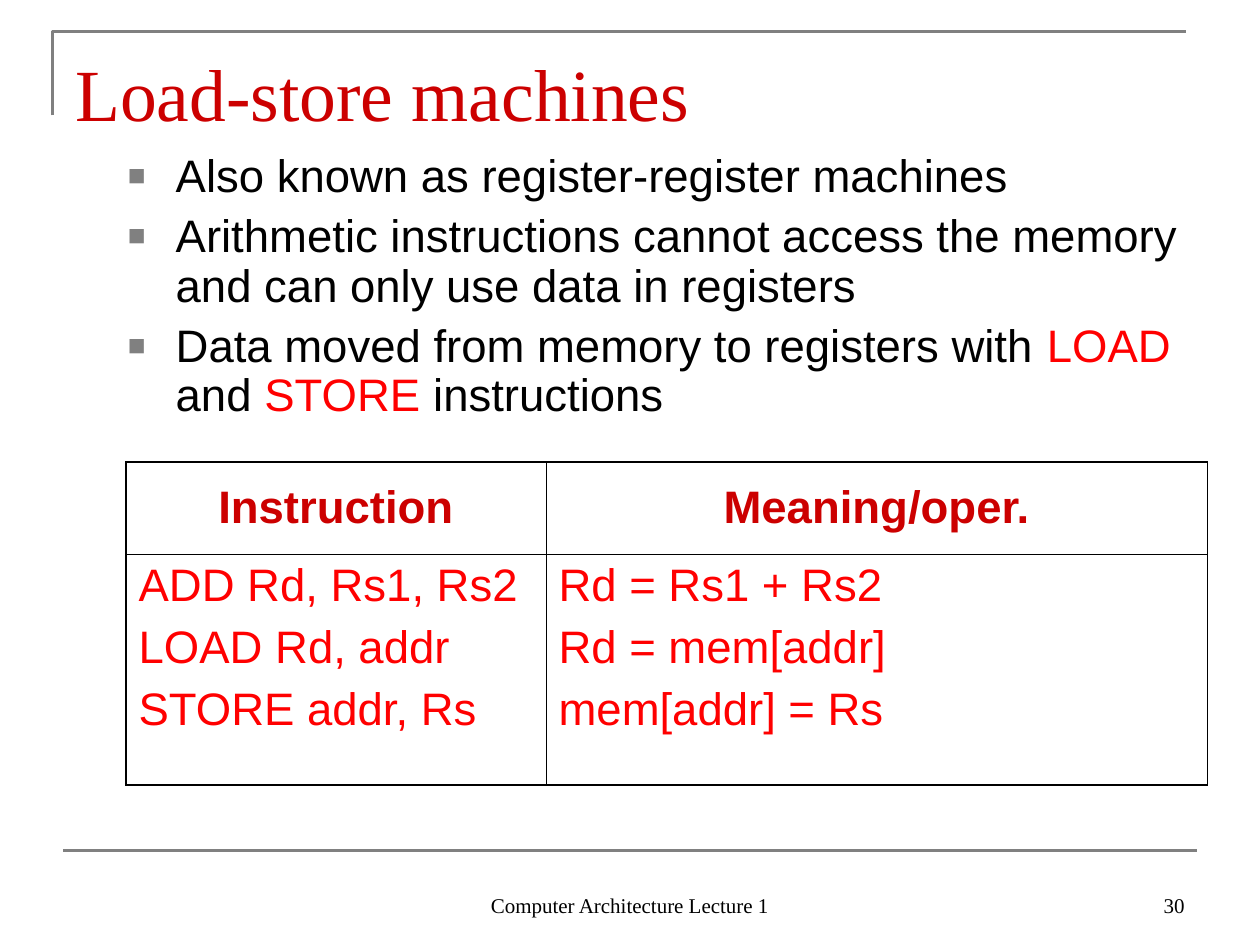
from dataclasses import dataclass

from lxml.etree import SubElement
from pptx import Presentation
from pptx.dml.color import RGBColor
from pptx.enum.shapes import MSO_CONNECTOR
from pptx.enum.text import MSO_ANCHOR, PP_ALIGN
from pptx.oxml.ns import qn
from pptx.util import Inches, Pt


@dataclass(frozen=True)
class Theme:
    """Colours, fonts and type sizes of the slide."""

    rule: str = "808080"
    black: str = "000000"
    heading: str = "CC0000"
    code: str = "FF0000"
    serif: str = "Times New Roman"
    sans: str = "Arial"
    title_size: float = 42
    body_size: float = 26
    footer_size: float = 12
    paragraph_gap: float = 6.5
    rule_width: float = 1.5
    outer_border: float = 1.08
    inner_border: float = 0.45


THEME = Theme()
COLUMNS, ROWS = 120, 90
BULLETS = [
    [("Also known as register-register machines", THEME.black)],
    [("Arithmetic instructions cannot access the memory and can only use data in registers", THEME.black)],
    [
        ("Data moved from memory to registers with ", THEME.black),
        ("LOAD", THEME.code),
        (" and ", THEME.black),
        ("STORE ", THEME.code),
        ("instructions", THEME.black),
    ],
]
HEADERS = ["Instruction", "Meaning/oper."]
OPERATIONS = [
    ["ADD Rd, Rs1, Rs2", "LOAD Rd, addr", "STORE addr, Rs"],
    ["Rd = Rs1 + Rs2", "Rd = mem[addr]", "mem[addr] = Rs"],
]


def grid(*cells):
    """Convert grid columns and rows, twelve to the inch, to lengths."""
    return [Inches(cell / 12) for cell in cells]


def add_run(paragraph, text, size, color, font=THEME.sans, bold=False):
    """Append one styled run to a paragraph."""
    run = paragraph.add_run()
    run.text = text
    run.font.size = Pt(size)
    run.font.name = font
    run.font.bold = bold
    run.font.color.rgb = RGBColor.from_string(color)


def add_paragraphs(frame, count):
    """Return the given number of paragraphs, spaced apart by the theme gap."""
    paragraphs = [frame.paragraphs[0]] + [frame.add_paragraph() for _ in range(count - 1)]
    for paragraph in paragraphs[1:]:
        paragraph.space_before = Pt(THEME.paragraph_gap)
    return paragraphs


def add_text_frame(slide, box, anchor=MSO_ANCHOR.TOP):
    """Add a wrapping text box on the grid and return its frame."""
    frame = slide.shapes.add_textbox(*grid(*box)).text_frame
    frame.word_wrap = True
    frame.vertical_anchor = anchor
    return frame


def add_label(slide, box, text, size, color, align=PP_ALIGN.LEFT):
    """Add a single serif line standing on the bottom of its box."""
    frame = add_text_frame(slide, box, MSO_ANCHOR.BOTTOM)
    paragraph = frame.paragraphs[0]
    paragraph.alignment = align
    add_run(paragraph, text, size, color, THEME.serif)
    return frame


def style_rule(shape):
    """Give a line or outline the grey rule style."""
    shape.line.color.rgb = RGBColor.from_string(THEME.rule)
    shape.line.width = Pt(THEME.rule_width)


def add_frame_rules(slide):
    """Draw the corner around the title and the rule above the footer."""
    left, top, right, bottom = grid(5, 3, 113, 11)
    builder = slide.shapes.build_freeform(left, bottom)
    builder.add_line_segments([(left, top), (right, top)], close=False)
    corner = builder.convert_to_shape()
    corner.fill.background()
    corner.shadow.inherit = False
    style_rule(corner)
    footer_rule = slide.shapes.add_connector(MSO_CONNECTOR.STRAIGHT, *grid(6, 81, 114, 81))
    style_rule(footer_rule)
    SubElement(footer_rule._element.spPr, qn("a:effectLst"))


def add_bullet(paragraph):
    """Give a paragraph a hanging grey square bullet."""
    properties = paragraph._p.get_or_add_pPr()
    indent = Inches(0.38)
    properties.set("marL", str(indent))
    properties.set("indent", str(-indent))
    color = SubElement(properties, qn("a:buClr"))
    SubElement(color, qn("a:srgbClr"), val=THEME.rule)
    SubElement(properties, qn("a:buSzPct"), val="65000")
    SubElement(properties, qn("a:buFont"), typeface=THEME.sans)
    SubElement(properties, qn("a:buChar"), char="■")


def add_bullets(slide, box, items):
    """Add the bulleted body text."""
    frame = add_text_frame(slide, box)
    for paragraph, runs in zip(add_paragraphs(frame, len(items)), items):
        paragraph.line_spacing = 0.9
        add_bullet(paragraph)
        for text, color in runs:
            add_run(paragraph, text, THEME.body_size, color)


def set_borders(cell, outer_sides):
    """Draw black cell borders, thicker on the outer sides."""
    properties = cell._tc.get_or_add_tcPr()
    for position, side in enumerate("LRTB"):
        width = THEME.outer_border if side in outer_sides else THEME.inner_border
        line = properties.makeelement(qn(f"a:ln{side}"), {"w": str(Pt(width))})
        fill = SubElement(line, qn("a:solidFill"))
        SubElement(fill, qn("a:srgbClr"), val=THEME.black)
        properties.insert(position, line)


def fill_cell(cell, lines, is_header):
    """Write the lines of a header or body cell."""
    cell.fill.background()
    cell.vertical_anchor = MSO_ANCHOR.MIDDLE if is_header else MSO_ANCHOR.TOP
    color = THEME.heading if is_header else THEME.code
    for paragraph, text in zip(add_paragraphs(cell.text_frame, len(lines)), lines):
        paragraph.alignment = PP_ALIGN.CENTER if is_header else PP_ALIGN.LEFT
        add_run(paragraph, text, THEME.body_size, color, bold=is_header)


def add_instruction_table(slide, left, top, widths, heights):
    """Add the table of instructions and their meanings."""
    box = grid(left, top, sum(widths), sum(heights))
    table = slide.shapes.add_table(len(heights), len(widths), *box).table
    for column, width in zip(table.columns, grid(*widths)):
        column.width = width
    for row, height in zip(table.rows, grid(*heights)):
        row.height = height
    for index, (header, lines) in enumerate(zip(HEADERS, OPERATIONS)):
        fill_cell(table.cell(0, index), [header], True)
        fill_cell(table.cell(1, index), lines, False)
        for row, edge in enumerate("TB"):
            set_borders(table.cell(row, index), edge + "LR"[index])


def main():
    """Build and save the slide."""
    presentation = Presentation()
    presentation.slide_width, presentation.slide_height = grid(COLUMNS, ROWS)
    slide = presentation.slides.add_slide(presentation.slide_layouts[6])
    add_frame_rules(slide)
    add_label(slide, (41, 82, 38, 6), "Computer Architecture Lecture 1",
              THEME.footer_size, THEME.black, PP_ALIGN.CENTER)
    add_label(slide, (86, 82, 28, 6), "30", THEME.footer_size, THEME.black, PP_ALIGN.RIGHT)
    title = add_label(slide, (6, 3.6, 108, 9.4), "Load-store machines", THEME.title_size, THEME.heading)
    title.margin_bottom = 0
    add_bullets(slide, (11, 14, 103, 28), BULLETS)
    add_instruction_table(slide, 12, 44, (40, 63), (8.75, 22))
    presentation.save("out.pptx")


if __name__ == "__main__":
    main()
